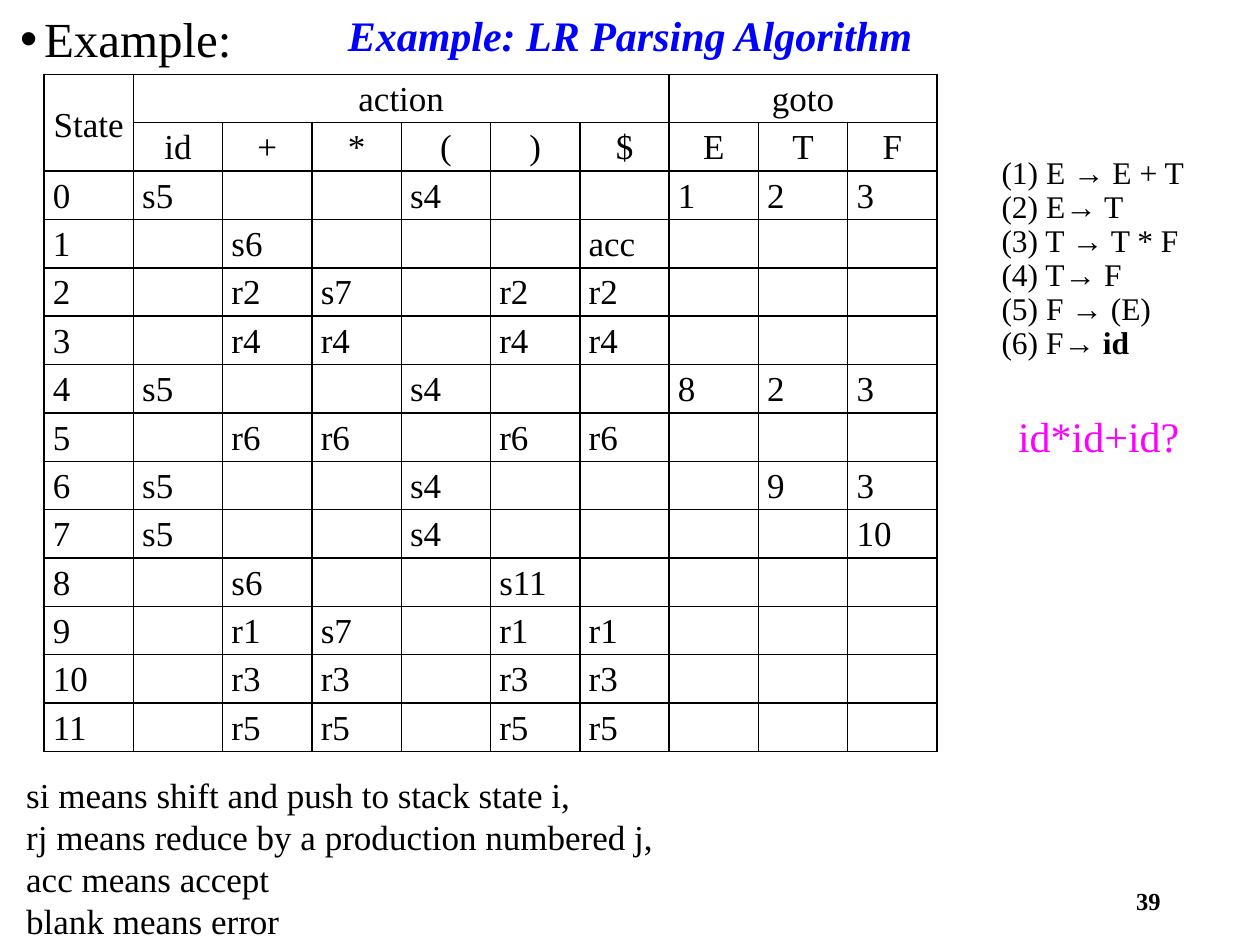
from lxml.etree import SubElement
from pptx import Presentation
from pptx.dml.color import RGBColor
from pptx.enum.text import MSO_ANCHOR, MSO_AUTO_SIZE, PP_ALIGN
from pptx.oxml import parse_xml
from pptx.oxml.ns import nsdecls, qn
from pptx.util import Inches, Pt

COLORS = {"text": "000000", "title": "0000FF", "question": "FF00FF"}
FONT = "Times New Roman"
SYMBOLS = ["id", "+", "*", "(", ")", "$", "E", "T", "F"]
STATES = [
    "s5 - - s4 - - 1 2 3",
    "- s6 - - - acc - - -",
    "- r2 s7 - r2 r2 - - -",
    "- r4 r4 - r4 r4 - - -",
    "s5 - - s4 - - 8 2 3",
    "- r6 r6 - r6 r6 - - -",
    "s5 - - s4 - - - 9 3",
    "s5 - - s4 - - - - 10",
    "- s6 - - s11 - - - -",
    "- r1 s7 - r1 r1 - - -",
    "- r3 r3 - r3 r3 - - -",
    "- r5 r5 - r5 r5 - - -",
]
PRODUCTIONS = [
    [("(1) E → E + T", False)],
    [("(2) E→ T", False)],
    [("(3) T → T * F", False)],
    [("(4) T→ F", False)],
    [("(5) F → (E)", False)],
    [("(6) F", False), ("→ id", True)],
]
LEGEND = [
    "si means shift and push to stack state i,",
    "rj means reduce by a production numbered j,",
    "acc means accept",
    "blank means error",
]


def add_run(paragraph, text, size, color="text", bold=False, italic=False):
    run = paragraph.add_run()
    run.text = text
    font = run.font
    font.name, font.size, font.bold, font.italic = FONT, Pt(size), bold, italic
    font.color.rgb = RGBColor.from_string(COLORS[color])


def place(shape, box):
    shape.left, shape.top, shape.width, shape.height = map(Inches, box)


def add_lines(slide, box, lines, size, color="text", align=PP_ALIGN.LEFT,
              spacing=None, hanging=0, anchor=MSO_ANCHOR.TOP):
    frame = slide.shapes.add_textbox(*map(Inches, box)).text_frame
    frame.word_wrap = True
    frame.vertical_anchor = anchor
    for index, runs in enumerate(lines):
        paragraph = frame.add_paragraph() if index else frame.paragraphs[0]
        paragraph.alignment = align
        if spacing:
            paragraph.line_spacing = spacing
        if hanging:
            properties = paragraph._p.get_or_add_pPr()
            properties.set("marL", str(Inches(hanging)))
            properties.set("indent", str(-Inches(hanging)))
        for text, bold in runs:
            add_run(paragraph, text, size, color, bold)


def fill_title(slide, box):
    title = slide.shapes.title
    place(title, box)
    frame = title.text_frame
    frame.auto_size = MSO_AUTO_SIZE.NONE
    frame.vertical_anchor = MSO_ANCHOR.MIDDLE
    paragraph = frame.paragraphs[0]
    paragraph.alignment = PP_ALIGN.CENTER
    paragraph.line_spacing = 0.9
    add_run(paragraph, "Example: LR Parsing Algorithm", 24, "title", True, True)


def fill_body(slide, box):
    body = slide.placeholders[1]
    place(body, box)
    frame = body.text_frame
    frame.auto_size = MSO_AUTO_SIZE.NONE
    paragraph = frame.paragraphs[0]
    paragraph.line_spacing = 0.9
    paragraph.space_before = Pt(0)
    properties = paragraph._p.get_or_add_pPr()
    properties.set("marL", str(Inches(0.19)))
    properties.set("indent", str(-Inches(0.19)))
    SubElement(properties, qn("a:buChar")).set("char", "•")
    add_run(paragraph, "Example:", 28)


def format_cell(cell):
    cell.margin_left = cell.margin_right = Inches(0.07)
    cell.margin_top = cell.margin_bottom = 0
    properties = cell._tc.get_or_add_tcPr()
    for position, side in enumerate("LRTB"):
        properties.insert(position, parse_xml(
            f'<a:ln{side} {nsdecls("a")} w="{Pt(1)}"><a:solidFill>'
            f'<a:srgbClr val="{COLORS["text"]}"/></a:solidFill></a:ln{side}>'))
    cell.fill.background()


def write_cell(cell, text, align):
    paragraph = cell.text_frame.paragraphs[0]
    paragraph.alignment = align
    paragraph.line_spacing = 1.15
    add_run(paragraph, text, 20)


def add_parsing_table(slide, box):
    header = ["State", "action", *[""] * 5, "goto", "", ""]
    states = [[str(number), *row.replace("-", "").split(" ")]
              for number, row in enumerate(STATES)]
    rows = [header, ["", *SYMBOLS], *states]
    table = slide.shapes.add_table(
        len(rows), len(header), *map(Inches, box)).table
    table.first_row = table.horz_banding = False
    for column in table.columns:
        column.width = Inches(box[2] / len(header))
    for row in table.rows:
        row.height = Inches(0.29)
    for row_index, row in enumerate(rows):
        align = PP_ALIGN.CENTER if row_index < 2 else PP_ALIGN.LEFT
        for column_index, text in enumerate(row):
            cell = table.cell(row_index, column_index)
            format_cell(cell)
            if text:
                write_cell(cell, text, align)
    table.cell(0, 0).vertical_anchor = MSO_ANCHOR.MIDDLE
    for first, last in [((0, 0), (1, 0)), ((0, 1), (0, 6)), ((0, 7), (0, 9))]:
        table.cell(*first).merge(table.cell(*last))


def main():
    presentation = Presentation()
    presentation.slide_width, presentation.slide_height = Inches(10), Inches(7.5)
    slide = presentation.slides.add_slide(presentation.slide_layouts[1])
    fill_title(slide, (0.69, 0, 8.62, 0.6))
    fill_body(slide, (0.06, 0.07, 9.88, 6.9))
    add_lines(slide, (7.06, 6.95, 2.25, 0.4), [[("39", True)]], 14,
              align=PP_ALIGN.RIGHT, anchor=MSO_ANCHOR.MIDDLE)
    add_parsing_table(slide, (0.35, 0.59, 7.09, 4.06))
    add_lines(slide, (7.85, 1.2, 1.79, 1.74), PRODUCTIONS, 18,
              spacing=0.9, hanging=0.5)
    add_lines(slide, (7.79, 3.21, 1.86, 0.51), [[("id*id+id?", False)]], 24,
              "question", PP_ALIGN.CENTER)
    add_lines(slide, (0.11, 6.09, 6.26, 1.45),
              [[(line, False)] for line in LEGEND], 20)
    presentation.save("out.pptx")


if __name__ == "__main__":
    main()
